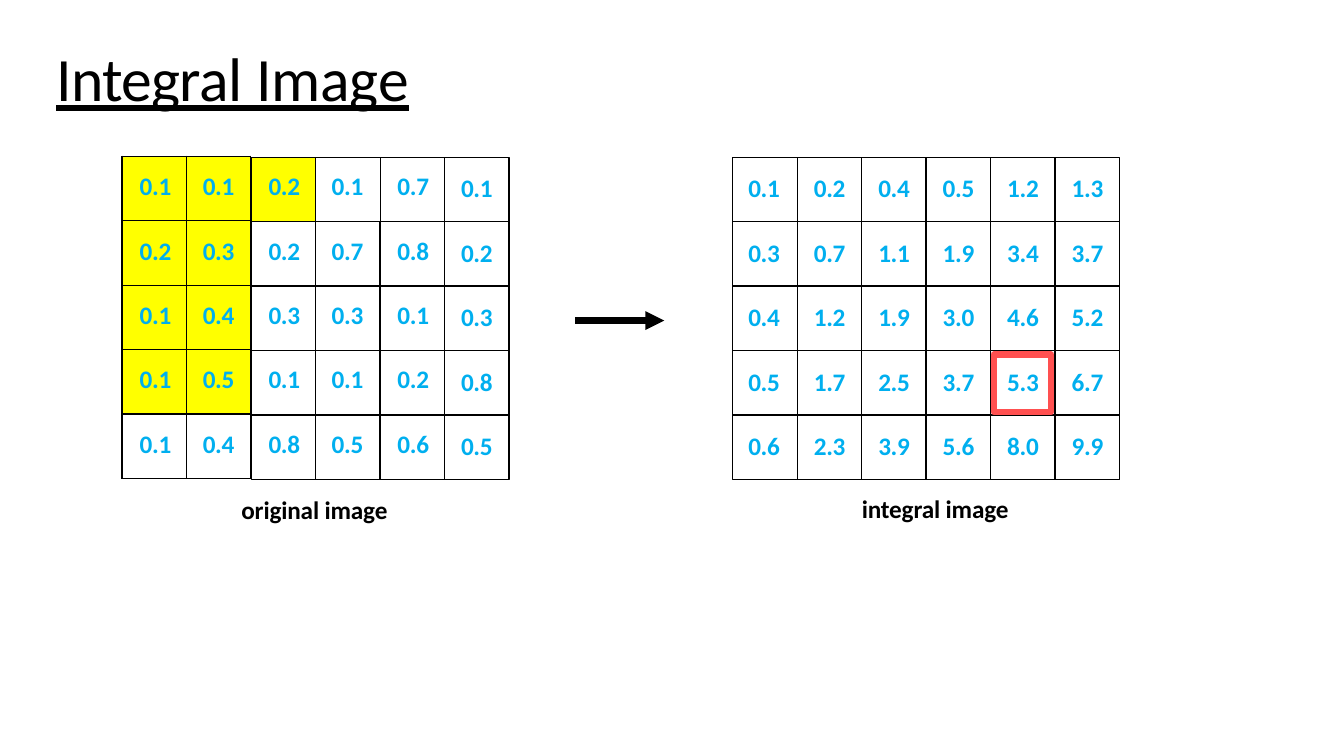
from lxml import etree
from pptx import Presentation
from pptx.dml.color import RGBColor
from pptx.enum.shapes import MSO_CONNECTOR, MSO_SHAPE
from pptx.enum.text import PP_ALIGN
from pptx.oxml.ns import qn
from pptx.util import Pt

STRAIGHT = MSO_CONNECTOR.STRAIGHT
RECTANGLE = MSO_SHAPE.RECTANGLE
LEFT, CENTER, RIGHT = PP_ALIGN.LEFT, PP_ALIGN.CENTER, PP_ALIGN.RIGHT

THEME = {
    "font": "Calibri",
    "title_size": 44,
    "text_size": 18,
    "ink": RGBColor(0, 0, 0),
    "value": RGBColor(0x00, 0xAF, 0xEF),
    "highlight": RGBColor(0xFF, 0xFF, 0x00),
    "frame": RGBColor(0xFF, 0x50, 0x50),
}
CELL = 46.04
ROWS, TABLE_COLUMNS = 5, 5
ORIGINAL_LEFT, INTEGRAL_LEFT, GRID_TOP = 87.4, 523.4, 112.3
TABLE_LEFT, TABLE_TOP = 87.1, 111.6
TEXT_TOP, TEXT_HEIGHT = 122.4, 23.8
FRAME_SIDE = 41

ORIGINAL = """0.1 0.1 0.2 0.1 0.7
0.2 0.3 0.2 0.7 0.8
0.1 0.4 0.3 0.3 0.1
0.1 0.5 0.1 0.1 0.2
0.1 0.4 0.8 0.5 0.6"""
ORIGINAL_LAST_COLUMN = ["0.1", "0.2", "0.3", "0.8", "0.5"]
INTEGRAL = """0.1 0.2 0.4 0.5 1.2 1.3
0.3 0.7 1.1 1.9 3.4 3.7
0.4 1.2 1.9 3.0 4.6 5.2
0.5 1.7 2.5 3.7 5.3 6.7
0.6 2.3 3.9 5.6 8.0 9.9"""

deck = Presentation()
deck.slide_width, deck.slide_height = Pt(960), Pt(540)
slide = deck.slides.add_slide(deck.slide_layouts[6])
shapes = slide.shapes


def write(paragraph, pieces, size, color, bold, indent=0):
    paragraph._p.get_or_add_pPr().set("marL", str(Pt(indent)))
    for text, spacing in pieces:
        run = paragraph.add_run()
        run.text = text
        run.font.name = THEME["font"]
        run.font.size = Pt(size)
        run.font.bold = bold
        run.font.underline = size == THEME["title_size"]
        run.font.color.rgb = color
        run.font._element.set("spc", str(spacing))


def draw_cells(left, cells):
    corners = [(0, 1), (1, 1), (1, 0), (0, 0)]
    outlines = [[(Pt(left + (column + x) * CELL), Pt(GRID_TOP + (row + y) * CELL))
                 for x, y in corners] for row, column in cells]
    builder = shapes.build_freeform(*outlines[0][0])
    for index, outline in enumerate(outlines):
        if index:
            builder.move_to(*outline[0])
        builder.add_line_segments(outline[1:], close=True)
    block = builder.convert_to_shape()
    block.shadow.inherit = False
    block.fill.background()
    block.line.color.rgb = THEME["ink"]
    block.line.width = Pt(0.96)
    return block


title = shapes.add_textbox(Pt(15.84), Pt(14.4), Pt(928), Pt(72.7)).text_frame
title.word_wrap = True
title.margin_left = title.margin_right = title.margin_bottom = 0
title.margin_top = Pt(14.4)
write(title.paragraphs[0], [("Integral", -50), (" ", -180), ("Image", -20)],
      THEME["title_size"], THEME["ink"], False, 24.5)

highlight = draw_cells(ORIGINAL_LEFT, [(0, 2)])
highlight.fill.solid()
highlight.fill.fore_color.rgb = THEME["highlight"]
highlight.line.fill.background()

original_blocks = [[(row, column) for row in range(ROWS) for column in range(2)]
                   + [(0, 2), (0, 3)]]
original_blocks += [[(row, 2), (row, 3)] for row in range(1, 4)]
original_blocks += [[(4, 2)], [(4, 3)]]
integral_blocks = [[(row, column) for row in range(ROWS) for column in range(4)]
                   + [(0, 4), (0, 5)]]
integral_blocks += [[(row, 4), (row, 5)] for row in range(1, ROWS)]
for left, blocks in [(ORIGINAL_LEFT + CELL * 2, original_blocks),
                     (INTEGRAL_LEFT, integral_blocks)]:
    for block in blocks:
        draw_cells(left, block)
highlight_left = ORIGINAL_LEFT + CELL * 2

grid = shapes.add_table(ROWS, TABLE_COLUMNS, Pt(TABLE_LEFT), Pt(TABLE_TOP),
                        Pt(TABLE_COLUMNS * CELL), Pt(ROWS * CELL)).table
grid.first_row = grid.horz_banding = False
for column in grid.columns:
    column.width = Pt(CELL)
for row_index, line in enumerate(ORIGINAL.splitlines()):
    grid.rows[row_index].height = Pt(CELL)
    for column_index, value in enumerate(line.split()):
        cell = grid.cell(row_index, column_index)
        centered = column_index % 2
        cell.margin_left = cell.margin_bottom = 0
        cell.margin_right = 0 if centered else Pt(10.8)
        cell.margin_top = Pt(11)
        paragraph = cell.text_frame.paragraphs[0]
        paragraph.alignment = CENTER if centered else RIGHT
        write(paragraph, [(value, -20)], THEME["text_size"], THEME["value"], True)
        bordered = ("a:lnL", "a:lnR", "a:lnT", "a:lnB") if column_index < 2 else (
            ("a:lnL",) if column_index == 2 else ())
        properties = cell._tc.get_or_add_tcPr()
        for side in ("a:lnL", "a:lnR", "a:lnT", "a:lnB"):
            border = etree.SubElement(properties, qn(side), w=str(Pt(1)))
            if side in bordered:
                ink = etree.SubElement(border, qn("a:solidFill"))
                etree.SubElement(ink, qn("a:srgbClr"), val=str(THEME["ink"]))
            else:
                etree.SubElement(border, qn("a:noFill"))
        if row_index < 4 and column_index < 2:
            cell.fill.solid()
            cell.fill.fore_color.rgb = THEME["highlight"]
        else:
            cell.fill.background()

labels = [(328.3, TEXT_TOP + row * CELL, 25.2, value, -20, THEME["value"])
          for row, value in enumerate(ORIGINAL_LAST_COLUMN)]
labels += [(533.5, TEXT_TOP + row * CELL, 255.6, "\t".join(line.split()), -20, THEME["value"])
           for row, line in enumerate(INTEGRAL.splitlines())]
labels.append((171.4, 352.1, 107.3, "original image", -10, THEME["ink"]))
for left, top, width, text, spacing, color in labels:
    label = shapes.add_textbox(Pt(left), Pt(top), Pt(width), Pt(TEXT_HEIGHT)).text_frame
    label.word_wrap = True
    label.margin_left = label.margin_right = label.margin_bottom = 0
    label.margin_top = Pt(1)
    paragraph = label.paragraphs[0]
    paragraph.alignment = LEFT
    if "\t" in text:
        stops = etree.SubElement(paragraph._p.get_or_add_pPr(), qn("a:tabLst"))
        for stop in range(text.count("\t")):
            etree.SubElement(stops, qn("a:tab"), pos=str(Pt(46.8 + stop * CELL)), algn="l")
    write(paragraph, [(text, spacing)], THEME["text_size"], color, True, 1)
    if text.startswith("0.6"):
        caption = label.add_paragraph()
        caption.space_before = Pt(23.4)
        write(caption, [("integral image", -10)], THEME["text_size"], THEME["ink"], True, 82.1)
        label._parent.height = Pt(68.4)

arrow = shapes.add_connector(STRAIGHT, Pt(411), Pt(229), Pt(474.5), Pt(229))
arrow.line.color.rgb = THEME["ink"]
arrow.line.width = Pt(4.5)
etree.SubElement(arrow.line._get_or_add_ln(), qn("a:tailEnd"), type="triangle")
etree.SubElement(arrow._element.spPr, qn("a:effectLst"))

frame = shapes.add_shape(RECTANGLE, Pt(709.9), Pt(253.3), Pt(FRAME_SIDE), Pt(FRAME_SIDE))
frame.shadow.inherit = False
frame.fill.background()
frame.line.color.rgb = THEME["frame"]
frame.line.width = Pt(4.56)

# end
deck.save("out.pptx")
